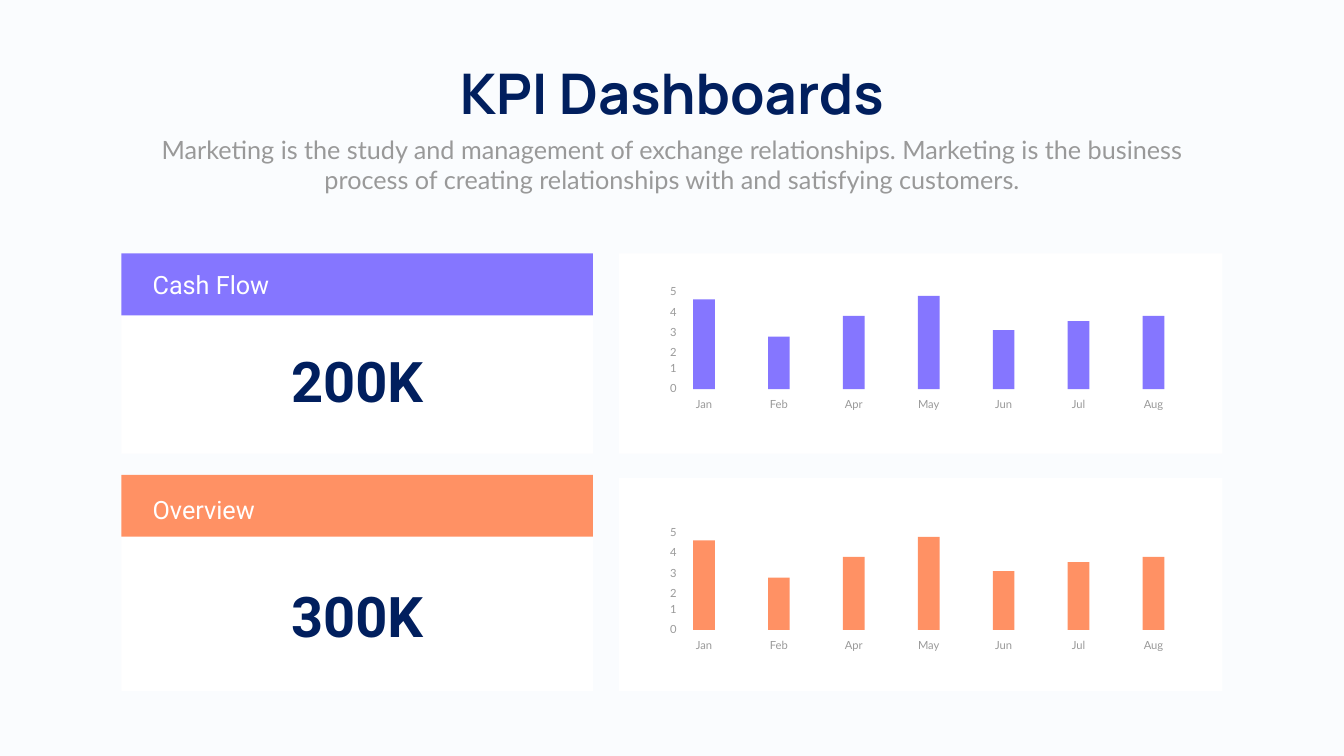
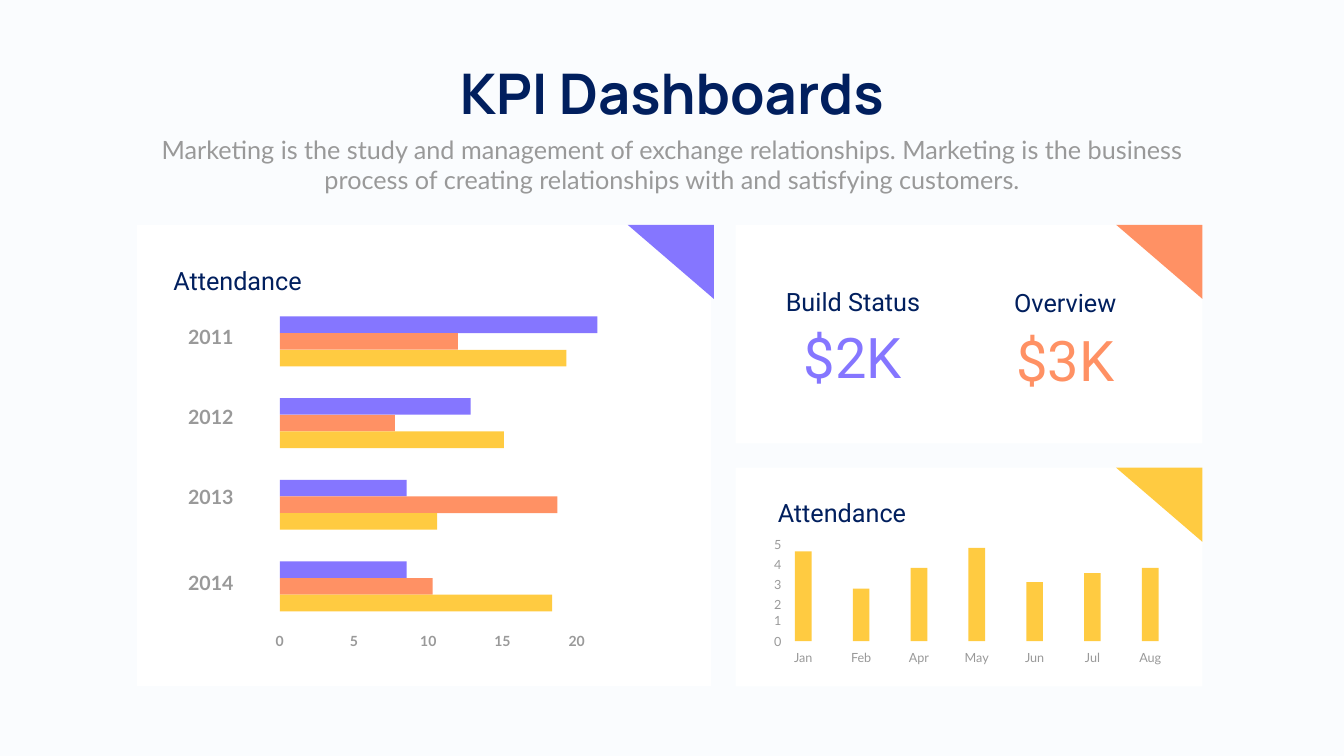
from pptx import Presentation
from pptx import util as u
from pptx.dml.color import RGBColor
from pptx.enum import shapes, text

# Theme
WIDTH, HEIGHT = 26.66, 15
PAPER = RGBColor(0xFA, 0xFC, 0xFE)
WHITE = RGBColor(0xFF, 0xFF, 0xFF)
NAVY = RGBColor(0x01, 0x1F, 0x5E)
GRAY = RGBColor(0x99, 0x99, 0x99)
PURPLE = RGBColor(0x85, 0x76, 0xFF)
ORANGE = RGBColor(0xFF, 0x91, 0x64)
YELLOW = RGBColor(0xFF, 0xCB, 0x41)
LEFT, CENTER, RIGHT = text.PP_ALIGN.LEFT, text.PP_ALIGN.CENTER, text.PP_ALIGN.RIGHT

# Content
TITLE = "KPI Dashboards"
SUBTITLE = ("Marketing is the study and management of exchange relationships. "
            "Marketing is the business process of creating relationships with "
            "and satisfying customers.")
MONTHS = [("Jan", 4.62), ("Feb", 2.7), ("Apr", 3.77), ("May", 4.8),
          ("Jun", 3.04), ("Jul", 3.5), ("Aug", 3.77)]
# Height of each scale label's top above the baseline, for 0 to 5
SCALE_RISES = [0.2, 0.6, 0.92, 1.32, 1.72, 2.12]

# Heading, figure, colour, then tops of card, band, heading, figure, and baseline
KPI_ROWS = [
    dict(heading="Cash Flow", figure="200K", color=PURPLE, card=(5.03, 3.97),
         band=5.03, figure_top=6.83, baseline=7.72),
    dict(heading="Overview", figure="300K", color=ORANGE, card=(9.48, 4.23),
         band=9.42, figure_top=11.48, baseline=12.5),
]
# Year, top of its label, values
ATTENDANCE = [
    ("2011", 6.39, (21.4, 12, 19.3)),
    ("2012", 7.99, (12.85, 7.75, 15.1)),
    ("2013", 9.58, (8.55, 18.7, 10.6)),
    ("2014", 11.27, (8.55, 10.3, 18.35)),
]
# Heading, figure, colour, left, tops of heading and figure
STATUSES = [("Build Status", "$2K", PURPLE, 15.26, 5.63, 6.34),
            ("Overview", "$3K", ORANGE, 19.47, 5.65, 6.41)]
# Left, top, width, height, right edge of the corner, corner colour
PANELS = [(2.72, 4.46, 11.38, 9.15, 14.16, PURPLE),
          (14.59, 4.46, 9.26, 4.34, 23.85, ORANGE),
          (14.59, 9.28, 9.26, 4.34, 23.85, YELLOW)]


def add_block(slide, left, top, width, height, color,
              kind=shapes.MSO_SHAPE.RECTANGLE, rotation=0):
    shape = slide.shapes.add_shape(kind, *map(u.Inches, (left, top, width, height)))
    shape.shadow.inherit = False
    shape.fill.solid()
    shape.fill.fore_color.rgb = color
    shape.line.fill.background()
    shape.rotation = rotation


def add_text(slide, words, left, top, width, height, size=36, font="Roboto",
             color=NAVY, bold=False, align=LEFT, wrap=True):
    box = slide.shapes.add_textbox(*map(u.Inches, (left, top, width, height)))
    frame = box.text_frame
    frame.word_wrap = wrap
    frame.auto_size = text.MSO_AUTO_SIZE.SHAPE_TO_FIT_TEXT
    paragraph = frame.paragraphs[0]
    paragraph.alignment = align
    run = paragraph.add_run()
    run.text = words
    run.font.size = u.Pt(size)
    run.font.name = font
    run.font.bold = bold
    run.font.color.rgb = color


def add_label(slide, words, left, top, width, height, **style):
    add_text(slide, words, left, top, width, height, font="Lato", color=GRAY, **style)


def add_figure(slide, words, left, top, width, **style):
    add_text(slide, words, left, top, width, 1.45, size=80, align=CENTER,
             wrap=False, **style)


def add_dashboard(presentation):
    slide = presentation.slides.add_slide(presentation.slide_layouts[6])
    slide.background.fill.solid()
    slide.background.fill.fore_color.rgb = PAPER
    add_figure(slide, TITLE, (WIDTH - 9.32) / 2, 1.12, 9.32, font="Manrope", bold=True)
    add_label(slide, SUBTITLE, (WIDTH - 20.82) / 2, 2.61, 20.82, 1.31, align=CENTER)
    return slide


def add_month_columns(slide, left, baseline, pitch, bar, color, size, label, tick, gap):
    """Columns by month; label and tick are box widths, gap precedes the first bar."""
    unit = 0.385
    line_height = size / 60 + 0.1
    for index, (month, value) in enumerate(MONTHS):
        x = left + index * pitch
        add_block(slide, x, baseline - value * unit, bar, value * unit, color)
        add_label(slide, month, x + (bar - label) / 2, baseline + 0.12, label,
                  line_height, size=size, align=CENTER)
    for number, rise in enumerate(SCALE_RISES):
        add_label(slide, str(number), left - gap - tick, baseline - rise, tick,
                  line_height, size=size, align=RIGHT)


def add_year_bars(slide, left, top):
    unit, thickness, pitch = 0.2945, 0.33, 1.62
    for row, (year, label_top, values) in enumerate(ATTENDANCE):
        add_label(slide, year, 1.95, label_top, 2.78, 0.57, size=28, bold=True,
                  align=RIGHT)
        for index, (value, color) in enumerate(zip(values, (PURPLE, ORANGE, YELLOW))):
            add_block(slide, left, top + row * pitch + index * thickness,
                      value * unit, thickness, color)
    for number in range(0, 25, 5):
        add_label(slide, str(number), left + number * unit - 0.325, 12.5, 0.65, 0.44,
                  size=20, bold=True, align=CENTER)


def build_cash_flow(presentation):
    slide = add_dashboard(presentation)
    card_left, card_width = 2.41, 9.35
    for row in KPI_ROWS:
        top, height = row["card"]
        add_block(slide, 12.28, top, 11.97, height, WHITE)
        add_block(slide, card_left, top, card_width, height, WHITE)
        add_block(slide, card_left, row["band"], card_width, 1.23, row["color"])
        heading_top = row["band"] + (0.26 if row["band"] == top else 0.33)
        add_text(slide, row["heading"], 2.93, heading_top, 5.6, 0.71, color=WHITE)
        add_figure(slide, row["figure"], card_left + (card_width - 2.84) / 2,
                   row["figure_top"], 2.84, bold=True)
        add_month_columns(slide, 13.75, row["baseline"], pitch=1.486, bar=0.43,
                          color=row["color"], size=16, label=1.27, tick=0.62, gap=0.23)


def build_attendance(presentation):
    slide = add_dashboard(presentation)
    # Panels with a coloured corner
    for left, top, width, height, corner_right, color in PANELS:
        add_block(slide, left, top, width, height, WHITE)
        add_block(slide, corner_right - 1.71, top, 1.71, 1.47, color,
                  kind=shapes.MSO_SHAPE.RIGHT_TRIANGLE, rotation=180)
    # Bars by year
    add_text(slide, "Attendance", 3.34, 5.22, 5.6, 0.71)
    add_year_bars(slide, 5.55, 6.28)
    # Status figures
    for heading, figure, color, left, heading_top, figure_top in STATUSES:
        add_text(slide, heading, left, heading_top, 3.32, 0.71, align=CENTER)
        add_figure(slide, figure, left + 0.55, figure_top, 2.22, color=color)
    # Columns by month
    add_text(slide, "Attendance", 15.33, 9.81, 5.6, 0.71)
    add_month_columns(slide, 15.77, 12.72, pitch=1.147, bar=0.33, color=YELLOW,
                      size=18, label=0.98, tick=0.48, gap=0.17)


def main():
    presentation = Presentation()
    presentation.slide_width = u.Inches(WIDTH)
    presentation.slide_height = u.Inches(HEIGHT)
    build_cash_flow(presentation)
    build_attendance(presentation)
    presentation.save("out.pptx")


if __name__ == "__main__":
    main()
